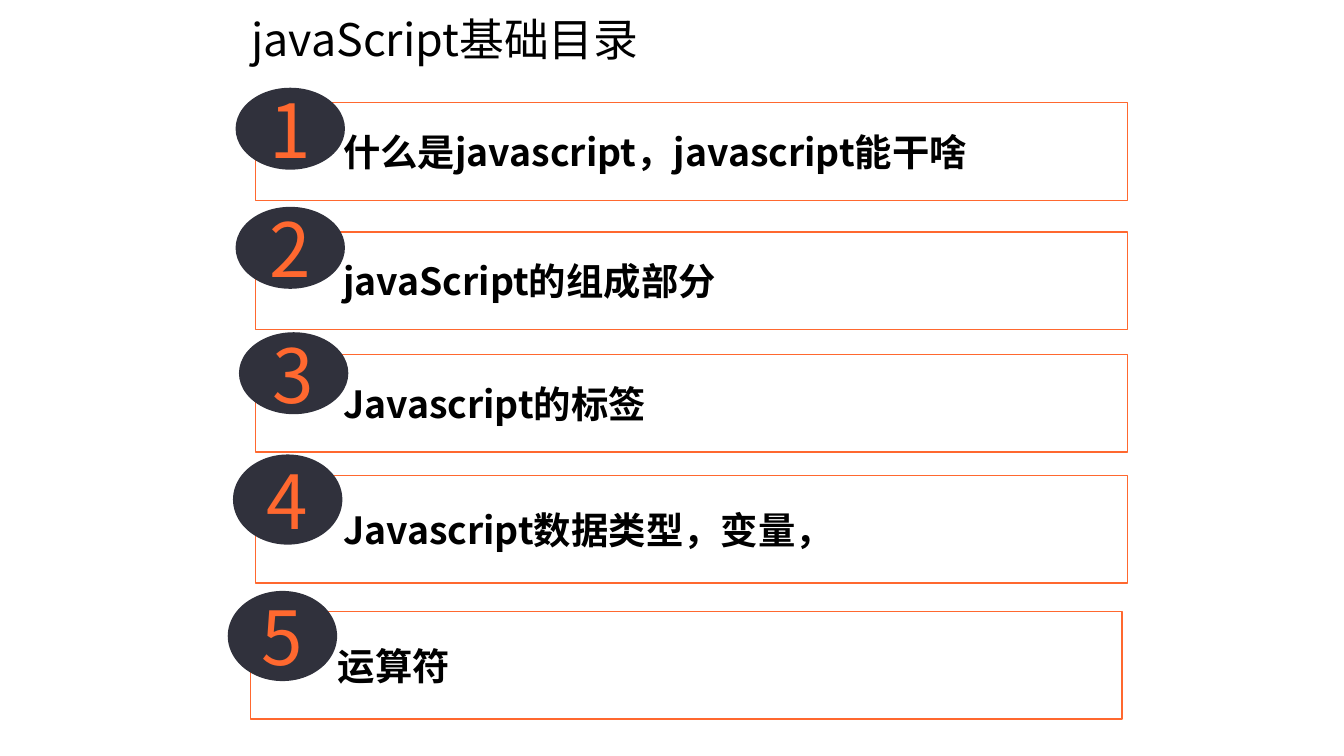
from dataclasses import dataclass

from pptx import Presentation
from pptx.dml.color import RGBColor
from pptx.enum import shapes, text
from pptx.oxml import ns
from pptx.util import Pt
from lxml import etree


@dataclass(frozen=True)
class Theme:
    """Colours, font and type sizes of the slide."""
    accent: str = "FF682F"
    dark: str = "30313C"
    ink: str = "000000"
    paper: str = "FFFFFF"
    font: str = "Noto Sans CJK SC"
    title: int = 24
    item: int = 20
    number: int = 40


THEME = Theme()

ENTRIES = [
    ("什么是javascript，javascript能干啥", (137, 54.9, 467, 52.4), (-10.8, -7.9, 58.6, 43.9)),
    ("javaScript的组成部分", (137, 124.2, 467, 52.4), (-10.8, -13.4, 58.6, 43.9)),
    ("Javascript的标签", (137, 190, 467, 52.2), (-9, -12, 58.6, 43.9)),
    ("Javascript数据类型，变量，", (137, 254.9, 467, 57.4), (-12.2, -11.4, 58.6, 48.3)),
    ("运算符", (134.2, 327.6, 467, 57.6), (-12.2, -11, 58.6, 48.3)),
]


def write(sp, content, size, color, align, anchor, insets, bold=False):
    """Put one formatted paragraph into a shape."""
    tf = sp.text_frame
    tf.word_wrap = True
    tf.auto_size = text.MSO_AUTO_SIZE.NONE
    tf.vertical_anchor = anchor
    tf.margin_left, tf.margin_top, tf.margin_right, tf.margin_bottom = map(Pt, insets)
    p = tf.paragraphs[0]
    p.text = content
    p.alignment = align
    font = p.font
    font.size, font.bold, font.name = Pt(size), bold, THEME.font
    font.color.rgb = RGBColor.from_string(color)
    latin = p._p.find(".//" + ns.qn("a:latin"))
    ea = etree.Element(ns.qn("a:ea"), typeface=THEME.font)
    latin.addnext(ea)


def add_filled(s, kind, box, color):
    """Add a flat preset shape with a solid fill."""
    sp = s.shapes.add_shape(kind, *map(Pt, box))
    sp.shadow.inherit = False
    sp.fill.solid()
    sp.fill.fore_color.rgb = RGBColor.from_string(color)
    return sp


def add_title(s, box, content):
    """Place the heading in the title placeholder."""
    sp = s.shapes.title
    sp.left, sp.top, sp.width, sp.height = map(Pt, box)
    write(sp, content, THEME.title, THEME.ink, text.PP_ALIGN.LEFT,
          text.MSO_ANCHOR.TOP, (7.2, 3.6, 7.2, 3.6))


def add_entry(s, box, number, content, badge):
    """Draw an outlined entry with its number badge offset from the box."""
    frame = add_filled(s, shapes.MSO_SHAPE.RECTANGLE, box, THEME.paper)
    fill = frame._element.spPr.find(ns.qn("a:solidFill"))
    etree.SubElement(fill[0], ns.qn("a:alpha"), val="40000")
    frame.line.color.rgb = RGBColor.from_string(THEME.accent)
    frame.line.width = Pt(0.74)
    write(frame, content, THEME.item, THEME.ink, text.PP_ALIGN.LEFT,
          text.MSO_ANCHOR.MIDDLE, (46.8, 6, 6, 6), bold=True)

    dx, dy, width, height = badge
    oval = add_filled(s, shapes.MSO_SHAPE.OVAL,
                      (box[0] + dx, box[1] + dy, width, height), THEME.dark)
    oval.line.fill.background()
    write(oval, str(number), THEME.number, THEME.accent, text.PP_ALIGN.CENTER,
          text.MSO_ANCHOR.MIDDLE, (7.2, 3.6, 7.2, 3.6))


def add_contents(s):
    """Fill the contents slide with its title and numbered entries."""
    add_title(s, (127.4, 2.9, 244, 36), "javaScript基础目录")
    for number, (content, box, badge) in enumerate(ENTRIES, 1):
        add_entry(s, box, number, content, badge)


prs = Presentation()
prs.slide_width, prs.slide_height = Pt(720), Pt(405)
add_contents(prs.slides.add_slide(prs.slide_layouts[5]))
prs.save("out.pptx")
